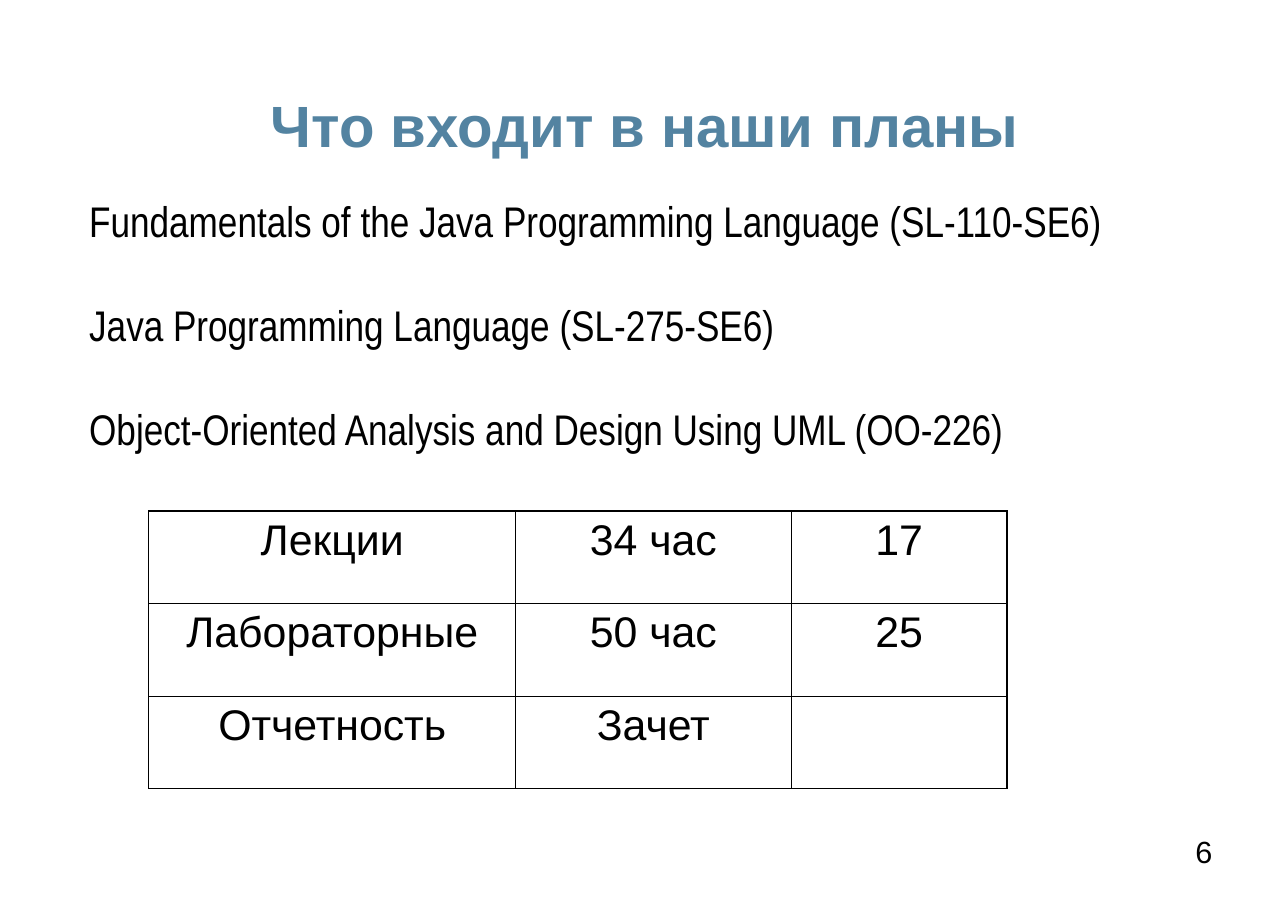
"""Build the course plan slide with its table of hours."""
from dataclasses import dataclass

from lxml.etree import SubElement
from pptx import Presentation
from pptx.dml.color import RGBColor
from pptx.enum.text import PP_ALIGN
from pptx.oxml.ns import qn
from pptx.slide import Slide
from pptx.table import Table, _Cell
from pptx.text.text import TextFrame
from pptx.util import Inches, Pt

COLOURS = {"heading": "5383A1", "ink": "000000"}
OUTER_RULE, INNER_RULE = 1.08, 0.45


@dataclass(frozen=True)
class TextBlock:
    left: float
    top: float
    width: float
    height: float
    lines: tuple[str, ...]
    size: float
    font: str = "Arial"
    colour: str = "ink"
    bold: bool = False
    align: PP_ALIGN = PP_ALIGN.LEFT
    line_height: float | None = None
    gap: float = 0


BLOCKS = (
    TextBlock(0.89, 0.82, 9.93, 0.64, ("Что входит в наши планы",), 38,
              colour="heading", bold=True, align=PP_ALIGN.CENTER, line_height=45.2),
    TextBlock(0.81, 1.73, 9.54, 2.49,
              ("Fundamentals of the Java Programming Language (SL-110-SE6)",
               "Java Programming Language (SL-275-SE6)",
               "Object-Oriented Analysis and Design Using UML (OO-226)"),
              28, font="Arial Narrow", line_height=36.4, gap=31.5),
    TextBlock(10.85, 7.56, 0.18, 0.34, ("6",), 20),
)

HOURS = (
    ("Лекции", "34 час", "17"),
    ("Лабораторные", "50 час", "25"),
    ("Отчетность", "Зачет", ""),
)
COLUMN_WIDTHS = (3.33, 2.5, 1.96)
ROW_HEIGHT = 0.84


def write(frame: TextFrame, text: str, *, size: float, font: str = "Arial",
          colour: str = "ink", bold: bool = False, align: PP_ALIGN = PP_ALIGN.LEFT,
          line_height: float | None = None, gap: float = 0, first: bool = True) -> None:
    paragraph = frame.paragraphs[0] if first else frame.add_paragraph()
    paragraph.text = text
    paragraph.alignment = align
    if line_height:
        paragraph.line_spacing = Pt(line_height)
    if not first:
        paragraph.space_before = Pt(gap)
    paragraph.font.size = Pt(size)
    paragraph.font.name = font
    paragraph.font.bold = bold
    paragraph.font.color.rgb = RGBColor.from_string(COLOURS[colour])


def draw_block(slide: Slide, block: TextBlock) -> None:
    frame = slide.shapes.add_textbox(
        Inches(block.left), Inches(block.top), Inches(block.width), Inches(block.height)
    ).text_frame
    frame.word_wrap = True
    frame.margin_left = frame.margin_right = frame.margin_top = frame.margin_bottom = 0
    for index, line in enumerate(block.lines):
        write(frame, line, size=block.size, font=block.font, colour=block.colour,
              bold=block.bold, align=block.align, line_height=block.line_height,
              gap=block.gap, first=index == 0)


def rule_cell(cell: _Cell, outer_edges: dict[str, bool]) -> None:
    properties = cell._tc.get_or_add_tcPr()
    for edge, is_outer in outer_edges.items():
        width = Pt(OUTER_RULE if is_outer else INNER_RULE)
        rule = SubElement(properties, qn(f"a:{edge}"), w=str(width))
        SubElement(SubElement(rule, qn("a:solidFill")), qn("a:srgbClr"), val=COLOURS["ink"])


def draw_hours(slide: Slide) -> None:
    rows, columns = len(HOURS), len(COLUMN_WIDTHS)
    hours: Table = slide.shapes.add_table(
        rows, columns, Inches(1.35), Inches(4.64),
        Inches(sum(COLUMN_WIDTHS)), Inches(ROW_HEIGHT * rows)
    ).table
    hours.first_row = hours.horz_banding = False
    for column, width in zip(hours.columns, COLUMN_WIDTHS):
        column.width = Inches(width)
    for r, entries in enumerate(HOURS):
        hours.rows[r].height = Inches(ROW_HEIGHT)
        for c, entry in enumerate(entries):
            cell = hours.cell(r, c)
            write(cell.text_frame, entry, size=28, align=PP_ALIGN.CENTER)
            rule_cell(cell, {"lnL": c == 0, "lnR": c == columns - 1,
                             "lnT": r == 0, "lnB": r == rows - 1})
            cell.fill.background()


def main() -> None:
    deck = Presentation()
    deck.slide_width, deck.slide_height = Inches(11.69), Inches(8.28)
    slide = deck.slides.add_slide(deck.slide_layouts[6])
    for block in BLOCKS:
        draw_block(slide, block)
    draw_hours(slide)
    deck.save("out.pptx")


if __name__ == "__main__":
    main()
